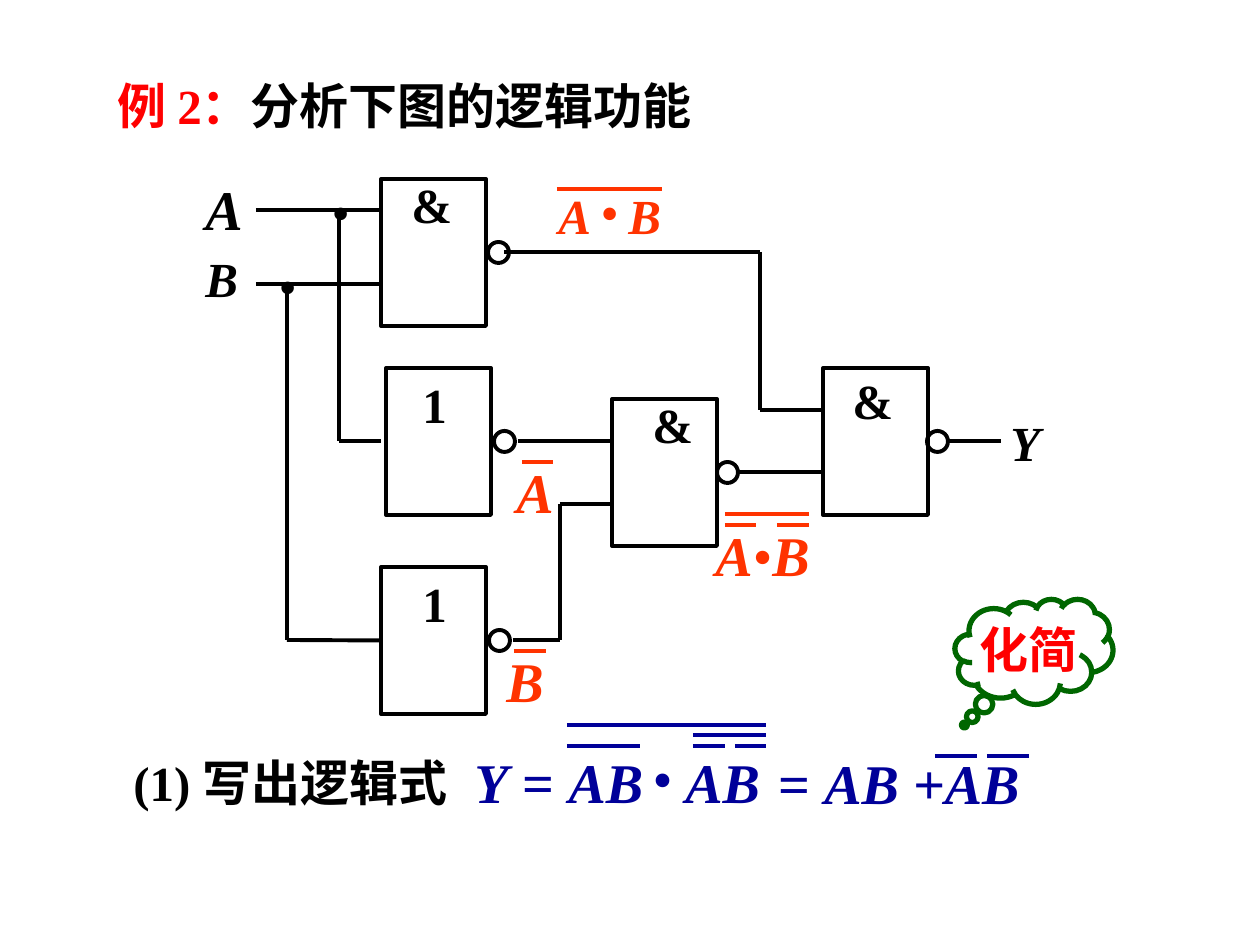
from lxml import etree
from pptx import Presentation
from pptx.dml.color import RGBColor
from pptx.enum.shapes import MSO_CONNECTOR, MSO_SHAPE
from pptx.enum.text import MSO_ANCHOR, PP_ALIGN
from pptx.oxml.ns import qn
from pptx.util import Pt

PX = 914400 // 126
FONT = "Times New Roman"
STRAIGHT = MSO_CONNECTOR.STRAIGHT
RECT, OVAL, CLOUD = MSO_SHAPE.RECTANGLE, MSO_SHAPE.OVAL, MSO_SHAPE.CLOUD_CALLOUT
MIDDLE, CENTER = MSO_ANCHOR.MIDDLE, PP_ALIGN.CENTER
LEFT_SIDE = 1

BLACK = RGBColor(0, 0, 0)
RED = RGBColor(0xFF, 0, 0)
ORANGE = RGBColor(0xFF, 0x33, 0)
NAVY = RGBColor(0, 0, 0x99)
GREEN = RGBColor(0, 0x66, 0)

GATE_W, GATE_H, BUBBLE = 105, 147, 21
GATES = {
    "nand_ab": (381, 179),
    "not_a": (386, 368),
    "not_b": (381, 567),
    "nand_not": (612, 399),
    "nand_out": (823, 368),
}
BUBBLES = [(488, 242), (494, 431), (489, 630), (717, 462), (927, 431)]
GATE_LABELS = [
    ("&", 399, 168, 64), ("1", 410, 368, 42), ("1", 410, 567, 42),
    ("&", 640, 388, 39), ("&", 840, 364, 67),
]

WIRES = [
    [(256, 210), (381, 210)],
    [(256, 284), (381, 284)],
    [(339, 210), (339, 441), (381, 441)],
    [(287, 284), (287, 640)],
    [(504, 252), (760, 252), (760, 410), (823, 410)],
    [(518, 441), (612, 441)],
    [(513, 640), (560, 640), (560, 504), (612, 504)],
    [(738, 472), (823, 472)],
    [(949, 441), (1001, 441)],
]
WIRE_INTO_NOT_B = [(287, 640), (381, 640)]

OVERLINES = [
    (ORANGE, [(557, 662, 189), (522, 553, 462), (514, 546, 651),
              (725, 809, 514), (725, 756, 525), (777, 809, 525)]),
    (NAVY, [(567, 766, 725), (567, 640, 746), (693, 766, 735),
            (693, 725, 746), (735, 766, 746),
            (935, 977, 756), (987, 1029, 756)]),
]

HEADINGS = [
    ([("(1) 写出逻辑式", {})], 746, 121, 341),
    ([("例 2：", {"color": RED}), ("分析下图的逻辑功能", {})], 69, 105, 606),
]
INPUTS_OUTPUT = [("A", 193, 168, 63, 32), ("B", 193, 242, 73, 28), ("Y", 998, 406, 55, 28)]
DOTS = [
    (319, 136, 53, 44, BLACK), (266, 210, 53, 44, BLACK),
    (588, 136, 42, 44, ORANGE), (640, 696, 42, 48, NAVY),
]
INVERTED = [("A", 504, 451), ("B", 494, 640)]

prs = Presentation()
prs.slide_width, prs.slide_height = 1260 * PX, 945 * PX
s = prs.slides.add_slide(prs.slide_layouts[6])


def write(p, text, size=28, color=BLACK, bold=True, italic=False):
    r = p.add_run()
    r.text = text
    f = r.font
    f.name, f.size, f.bold, f.italic = FONT, Pt(size), bold, italic
    f.color.rgb = color


def add_text(runs, x, y, w, h=72, tab=None, **fmt):
    tf = s.shapes.add_textbox(x * PX, y * PX, w * PX, h * PX).text_frame
    tf.word_wrap = True
    p = tf.paragraphs[0]
    if tab:
        tabs = etree.SubElement(p._p.get_or_add_pPr(), qn("a:tabLst"))
        etree.SubElement(tabs, qn("a:tab"), pos=str(tab * PX), algn="l")
    for text, extra in [(runs, {})] if isinstance(runs, str) else runs:
        write(p, text, **{**fmt, **extra})


def add_outline(kind, x, y, w, h, color=BLACK, width=2.25):
    sp = s.shapes.add_shape(kind, x * PX, y * PX, w * PX, h * PX)
    sp.shadow.inherit = False
    sp.fill.background()
    sp.line.color.rgb = color
    sp.line.width = Pt(width)
    return sp


def add_line(start, end, color=BLACK):
    ends = [v * PX for v in (*start, *end)]
    line = s.shapes.add_connector(STRAIGHT, *ends)
    line.line.color.rgb = color
    line.line.width = Pt(2.25)
    etree.SubElement(line._element.spPr, qn("a:effectLst"))
    return line


for runs, y, x, w in HEADINGS:
    add_text(runs, x, y, w)

gates = {name: add_outline(RECT, x, y, GATE_W, GATE_H) for name, (x, y) in GATES.items()}
for x, y in BUBBLES:
    add_outline(OVAL, x, y, BUBBLE, BUBBLE)
for label, x, y, w in GATE_LABELS:
    add_text(label, x, y, w)

for wire in WIRES:
    for start, end in zip(wire, wire[1:]):
        add_line(start, end)
add_line(*WIRE_INTO_NOT_B).end_connect(gates["not_b"], LEFT_SIDE)

for color, bars in OVERLINES:
    for x1, x2, y in bars:
        add_line((x1, y), (x2, y), color)

for label, x, y, w, size in INPUTS_OUTPUT:
    add_text(label, x, y, w, size=size, italic=True)
for x, y, w, size, color in DOTS:
    add_text(".", x, y, w, 105, size=size, color=color)
for label, x, y in INVERTED:
    add_text(label, x, y, 53, 79, size=32, color=ORANGE, italic=True)

add_text("A\tB", 546, 179, 158, tab=70, color=ORANGE, italic=True)
add_text([("A", {}), ("•", {"bold": False, "italic": False}), ("B", {})],
         703, 514, 158, 79, size=32, color=ORANGE, italic=True)
add_text([("Y", {}), (" = ", {"italic": False}), ("AB\tAB", {})],
         462, 741, 410, 88, tab=211, size=32, color=NAVY, italic=True)
add_text([("= ", {"italic": False}), ("AB +AB", {})],
         766, 742, 267, 79, size=32, color=NAVY, italic=True)

cloud = add_outline(CLOUD, 955, 599, 158, 105, GREEN, 3)
cloud.adjustments[0], cloud.adjustments[1] = -0.44, 0.7
tf = cloud.text_frame
tf.word_wrap = False
tf.vertical_anchor = MIDDLE
tf.paragraphs[0].alignment = CENTER
write(tf.paragraphs[0], "化简", color=RED)

prs.save("out.pptx")
